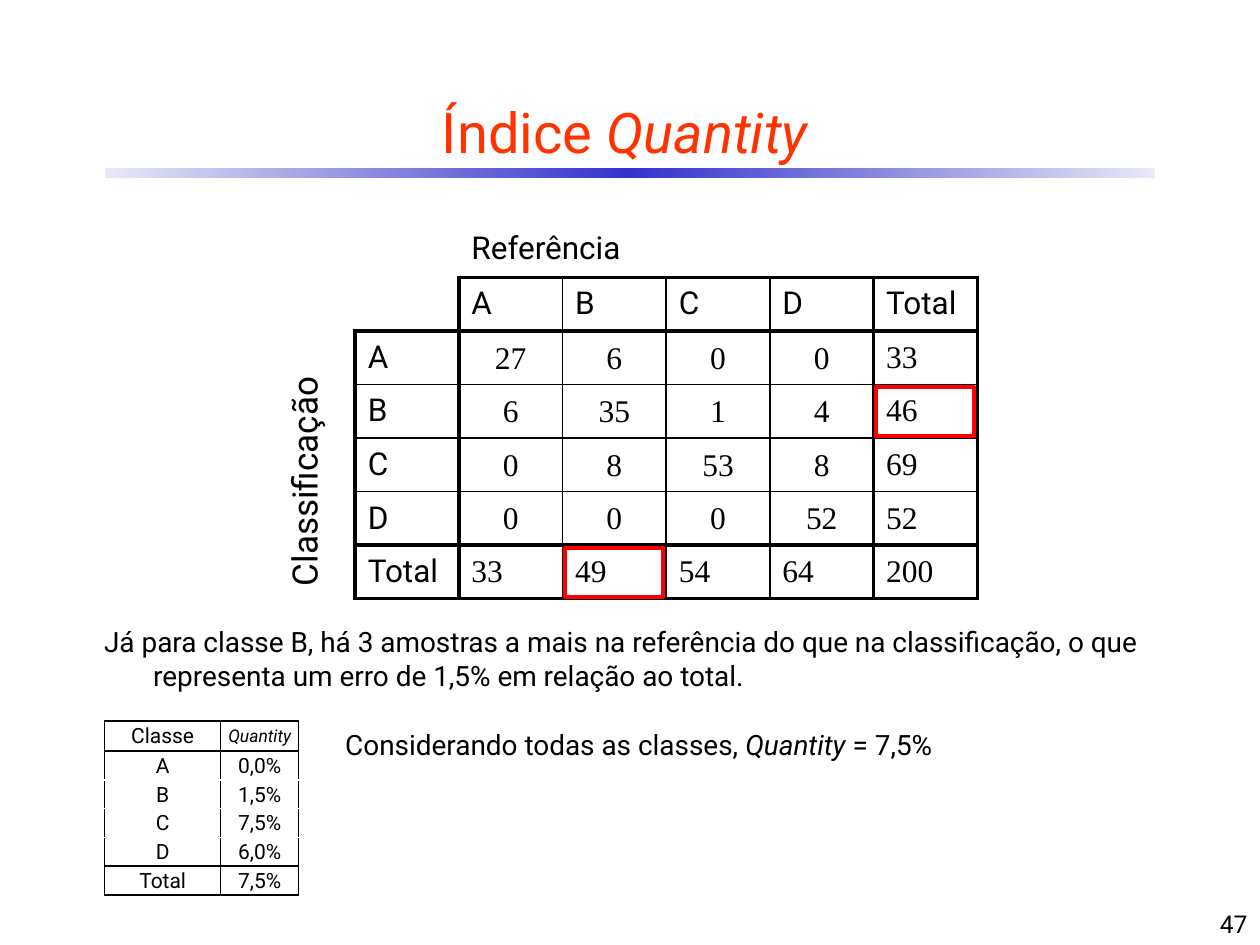
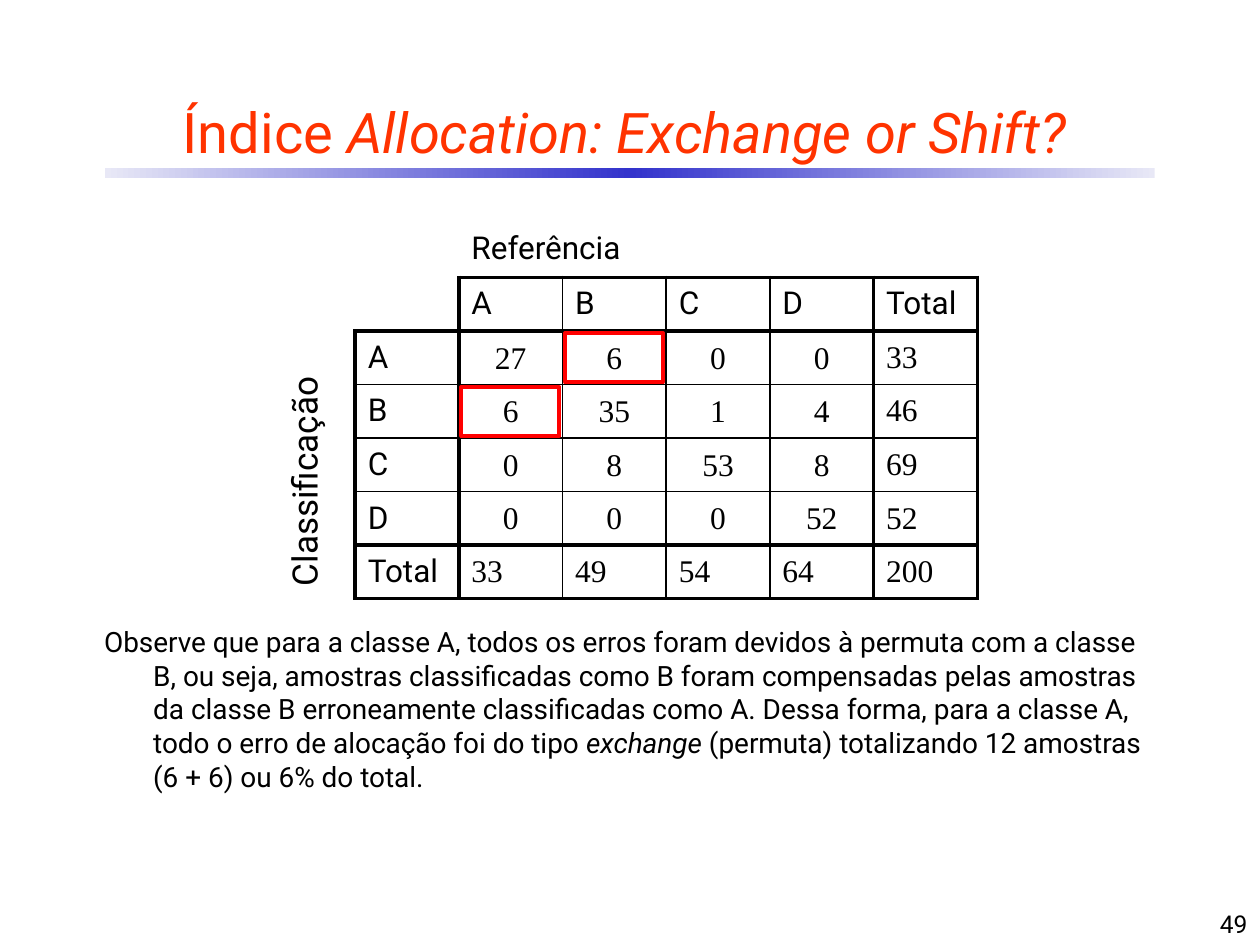
import copy

import pptx
import pptx.dml.color
import pptx.enum.shapes
import pptx.enum.text
import pptx.oxml
import pptx.oxml.ns
import pptx.util
from pptx.util import Cm, Pt

RGBColor = pptx.dml.color.RGBColor
ALIGN = pptx.enum.text.PP_ALIGN
ANCHOR = pptx.enum.text.MSO_ANCHOR
AUTO_SIZE = pptx.enum.text.MSO_AUTO_SIZE
RECTANGLE = pptx.enum.shapes.MSO_SHAPE.RECTANGLE
qn = pptx.oxml.ns.qn

BLACK = RGBColor(0x00, 0x00, 0x00)
WHITE = RGBColor(0xFF, 0xFF, 0xFF)
ORANGE = RGBColor(0xFF, 0x33, 0x00)
RED = RGBColor(0xFF, 0x00, 0x00)
BLUE = RGBColor(0x33, 0x33, 0xCC)
PALE_BLUE = RGBColor(0xE8, 0xE8, 0xF6)
SANS, SERIF = "Roboto", "Times New Roman"
PLAIN_TABLE = "{2D5ABB26-0587-4C30-8999-92F81FD0307C}"

CONFUSION = [
    ["", "", "Referência", "", "", "", ""],
    ["", "", "A", "B", "C", "D", "Total"],
    ["Classificação", "A", "27", "6", "0", "0", "33"],
    ["", "B", "6", "35", "1", "4", "46"],
    ["", "C", "0", "8", "53", "8", "69"],
    ["", "D", "0", "0", "0", "52", "52"],
    ["", "Total", "33", "49", "54", "64", "200"],
]
QUANTITY_BY_CLASS = [
    ["Classe", "Quantity"],
    ["A", "0,0%"],
    ["B", "1,5%"],
    ["C", "7,5%"],
    ["D", "6,0%"],
    ["Total", "7,5%"],
]
SLIDES = [
    {
        "title": [("Índice ", False), ("Quantity", True)],
        "highlights": [(3, 6), (6, 3)],
        "comment": [("Já para classe B, há 3 amostras a mais na referência do que na "
                     "classificação, o que representa um erro de 1,5% em relação ao total.", False)],
        "comment_height": 1.63,
        "overall": [("Considerando todas as classes, ", False), ("Quantity", True), (" = 7,5%", False)],
        "classes": QUANTITY_BY_CLASS,
        "page": "47",
    },
    {
        "title": [("Índice ", False), ("Allocation: Exchange or Shift?", True)],
        "highlights": [(2, 3), (3, 2)],
        "comment": [("Observe que para a classe A, todos os erros foram devidos à permuta com a "
                     "classe B, ou seja, amostras classificadas como B foram compensadas pelas "
                     "amostras da classe B erroneamente classificadas como A. Dessa forma, para a "
                     "classe A, todo o erro de alocação foi do tipo ", False),
                    ("exchange", True),
                    (" (permuta) totalizando 12 amostras (6 + 6) ou 6% do total.", False)],
        "comment_height": 3.68,
        "page": "49",
    },
]

MATRIX_LEFT, MATRIX_TOP = 5.92, 4.45
MATRIX_COLS = [1.24] + [2.09] * 6
MATRIX_ROWS = [1.14] + [1.08] * 6
CLASS_LEFT, CLASS_TOP = 2.11, 14.53
CLASS_COLS = [2.34, 1.57]
CLASS_ROWS = [0.61] + [0.58] * 5
HEAVY_EDGES = {1, 2, 6, 7}
WHITE_EDGES = {2, 3, 4}
SIDES = {"lnL": (0, -1), "lnR": (0, 1), "lnT": (-1, 0), "lnB": (1, 0)}


def set_font(paragraph, size, color=BLACK, name=SANS):
    paragraph.font.size = Pt(size)
    paragraph.font.name = name
    paragraph.font.color.rgb = color


def write(paragraph, pieces, size, color=BLACK):
    for text, italic in pieces:
        run = paragraph.add_run()
        run.text = text
        if italic:
            run.font.italic = True
    set_font(paragraph, size, color)


def add_title(slide, pieces):
    title = slide.shapes.title
    title.left, title.top, title.width, title.height = Cm(0.85), Cm(1.7), Cm(23.5), Cm(1.9)
    frame = title.text_frame
    frame.auto_size = AUTO_SIZE.NONE
    frame.vertical_anchor = ANCHOR.MIDDLE
    frame.paragraphs[0].alignment = ALIGN.CENTER
    write(frame.paragraphs[0], pieces, 32, ORANGE)


def add_band(slide):
    band = slide.shapes.add_shape(RECTANGLE, Cm(2.12), Cm(3.39), Cm(21.16), Cm(0.2))
    band.shadow.inherit = False
    band.line.fill.background()
    band.fill.gradient()
    band.fill.gradient_angle = 0
    for stop, color in zip(band.fill.gradient_stops, (PALE_BLUE, BLUE)):
        stop.color.rgb = color
    stops = band._element.spPr.find(".//" + qn("a:gsLst"))
    stops.append(copy.deepcopy(stops[0]))
    for stop, position in zip(stops, (0, 50000, 100000)):
        stop.set("pos", str(position))


def add_comment(slide, pieces, left, top, width, height):
    frame = slide.shapes.add_textbox(Cm(left), Cm(top), Cm(width), Cm(height)).text_frame
    frame.word_wrap = True
    frame.auto_size = AUTO_SIZE.SHAPE_TO_FIT_TEXT
    properties = frame.paragraphs[0]._p.get_or_add_pPr()
    properties.set("marL", str(Cm(0.99)))
    properties.set("indent", str(-Cm(0.99)))
    write(frame.paragraphs[0], pieces, 16)


def add_page_number(slide, number):
    frame = slide.shapes.add_textbox(Cm(20.11), Cm(17.78), Cm(5.29), Cm(1.27)).text_frame
    frame.word_wrap = True
    frame.vertical_anchor = ANCHOR.BOTTOM
    frame.paragraphs[0].alignment = ALIGN.RIGHT
    write(frame.paragraphs[0], [(number, False)], 14)


def matrix_edge(side, row, col):
    def in_grid(r, c):
        return r >= 1 and c >= 1 and r + c > 2

    down, across = SIDES[side]
    if not (in_grid(row, col) or in_grid(row + down, col + across)):
        return None
    boundary = row + (down > 0) if down else col + (across > 0)
    return (2.25 if boundary in HEAVY_EDGES else 1), BLACK


def class_edge(side, row, col):
    down = SIDES[side][0]
    return 1, WHITE if down and row + (down > 0) in WHITE_EDGES else BLACK


def draw_edge(cell, side, width, color):
    cell._tc.get_or_add_tcPr().append(pptx.oxml.parse_xml(
        f'<a:{side} xmlns:a="http://schemas.openxmlformats.org/drawingml/2006/main" '
        f'w="{Pt(width)}"><a:solidFill><a:srgbClr val="{color}"/></a:solidFill></a:{side}>'))


def centre_tightly(cell):
    cell.margin_left = cell.margin_right = cell.margin_top = Cm(0.03)
    cell.margin_bottom = 0
    cell.text_frame.paragraphs[0].alignment = ALIGN.CENTER


def add_grid(slide, content, left, top, widths, heights, edge, size):
    grid = slide.shapes.add_table(len(heights), len(widths), Cm(left), Cm(top),
                                  Cm(sum(widths)), Cm(sum(heights))).table
    grid.first_row = grid.horz_banding = False
    grid._tbl.tblPr.find(qn("a:tableStyleId")).text = PLAIN_TABLE
    for column, width in zip(grid.columns, widths):
        column.width = Cm(width)
    for row, height in zip(grid.rows, heights):
        row.height = Cm(height)
    for r, texts in enumerate(content):
        for c, text in enumerate(texts):
            cell = grid.cell(r, c)
            for side in SIDES:
                pen = edge(side, r, c)
                if pen:
                    draw_edge(cell, side, *pen)
            cell.fill.background()
            cell.vertical_anchor = ANCHOR.MIDDLE
            if text:
                cell.text = text
                set_font(cell.text_frame.paragraphs[0], size)
    return grid


def add_confusion_matrix(slide):
    matrix = add_grid(slide, CONFUSION, MATRIX_LEFT, MATRIX_TOP, MATRIX_COLS, MATRIX_ROWS,
                      matrix_edge, 18)
    for r in range(2, 7):
        for c in range(2, 7):
            cell = matrix.cell(r, c)
            cell.text_frame.paragraphs[0].font.name = SERIF
            if r < 6 and c < 6:
                centre_tightly(cell)
    matrix.cell(0, 2).merge(matrix.cell(0, 6))
    classification = matrix.cell(2, 0)
    classification.merge(matrix.cell(6, 0))
    classification._tc.get_or_add_tcPr().set("vert", "vert270")
    heading = classification.text_frame.paragraphs[0]
    heading.line_spacing = Pt(15)
    heading.font.size = Pt(20)


def add_class_table(slide, content):
    classes = add_grid(slide, content, CLASS_LEFT, CLASS_TOP, CLASS_COLS, CLASS_ROWS,
                       class_edge, 12)
    for cell in classes.iter_cells():
        centre_tightly(cell)
    quantity = classes.cell(0, 1).text_frame.paragraphs[0]
    quantity.font.size = Pt(10)
    quantity.font.italic = True


def add_highlight(slide, row, col):
    left = MATRIX_LEFT + sum(MATRIX_COLS[:col]) + 0.05
    top = MATRIX_TOP + sum(MATRIX_ROWS[:row]) + 0.05
    frame = slide.shapes.add_shape(RECTANGLE, Cm(left), Cm(top), Cm(1.98), Cm(0.99))
    frame.shadow.inherit = False
    frame.fill.background()
    frame.line.color.rgb = RED
    frame.line.width = Pt(2.25)


def main():
    deck = pptx.Presentation()
    deck.slide_width, deck.slide_height = Cm(25.4), Cm(19.05)
    for content in SLIDES:
        slide = deck.slides.add_slide(deck.slide_layouts[5])
        add_band(slide)
        add_title(slide, content["title"])
        add_confusion_matrix(slide)
        add_comment(slide, content["comment"], 1.85, 12.47, 21.59, content["comment_height"])
        for row, col in content["highlights"]:
            add_highlight(slide, row, col)
        if "overall" in content:
            add_comment(slide, content["overall"], 6.71, 14.55, 13.41, 0.94)
            add_class_table(slide, content["classes"])
        add_page_number(slide, content["page"])
    deck.save("out.pptx")


if __name__ == "__main__":
    main()
